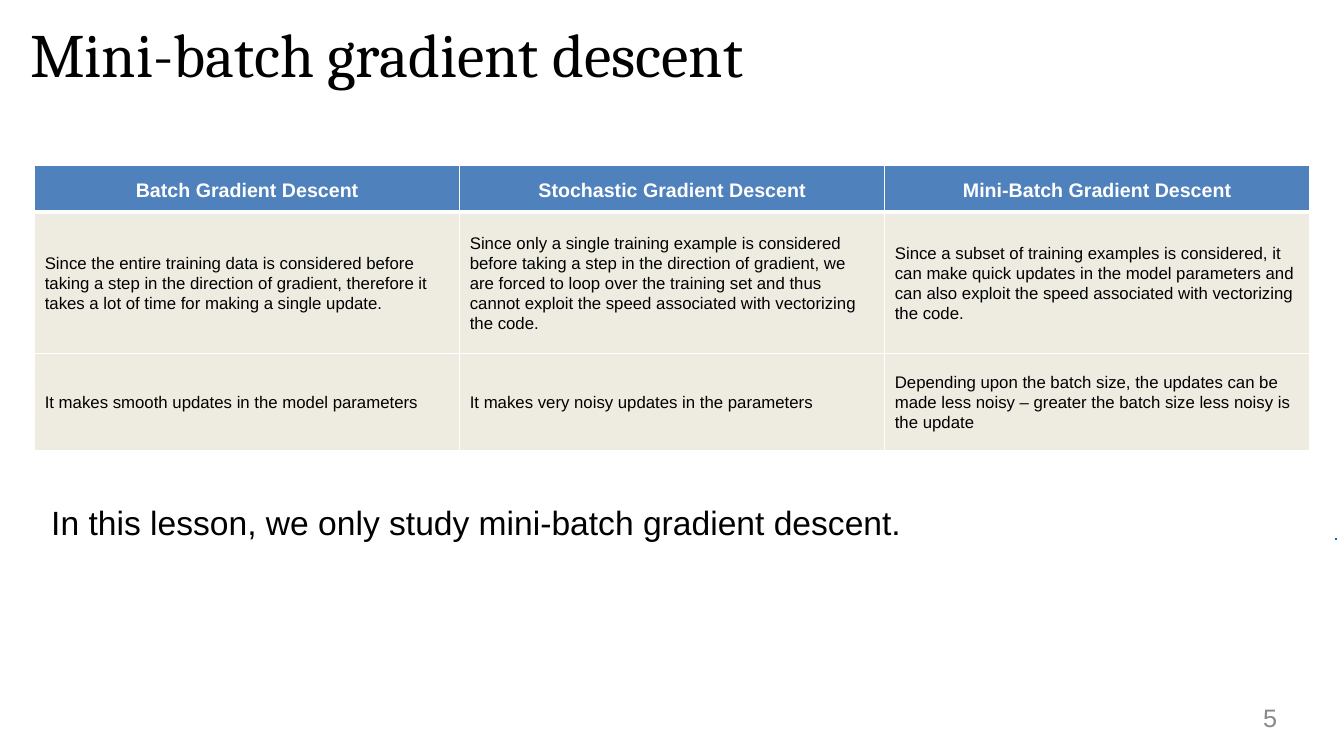
from dataclasses import dataclass

from lxml import etree
from pptx import Presentation
from pptx.dml.color import RGBColor
from pptx.enum.text import MSO_ANCHOR, MSO_AUTO_SIZE, PP_ALIGN
from pptx.oxml.ns import qn
from pptx.util import Pt

LEFT, CENTER, RIGHT = PP_ALIGN.LEFT, PP_ALIGN.CENTER, PP_ALIGN.RIGHT
TOP, MIDDLE, BOTTOM = MSO_ANCHOR.TOP, MSO_ANCHOR.MIDDLE, MSO_ANCHOR.BOTTOM
GROW = MSO_AUTO_SIZE.SHAPE_TO_FIT_TEXT
TITLE_ONLY = 5


@dataclass
class TextStyle:
    size: float
    color: str = "000000"
    font: str = "Arial"
    bold: bool = False
    align: PP_ALIGN = LEFT
    line_spacing: float = 1.0


@dataclass
class Block:
    text: str
    box: tuple[float, float, float, float]
    insets: tuple[float, float, float, float]
    style: TextStyle


@dataclass
class RowStyle:
    height: float
    fill: str
    anchor: MSO_ANCHOR
    inset_y: float
    bottom_border: float
    text: TextStyle


# Content
TITLE = Block("Mini-batch gradient descent", (20.9, 10.8, 773.3, 54.7),
              (0.7, 0.7, 0, 0), TextStyle(44, font="Cambria"))
CLOSING = Block("In this lesson, we only study mini-batch gradient descent.",
                (29.5, 355, 905.8, 36), (7.2, 3.6, 7.2, 3.6), TextStyle(24))
PAGE_NUMBER = Block("5", (691.2, 501.8, 221, 21.6), (0, 0, 0, 0),
                    TextStyle(18, "888888", align=RIGHT))

HEADING = TextStyle(14, "FFFFFF", bold=True, align=CENTER, line_spacing=1.07)
BODY = TextStyle(12, line_spacing=1.07)
ROW_STYLES = [
    RowStyle(33.1, "4F81BD", BOTTOM, 7.2, 3, HEADING),
    RowStyle(101.2, "EEECE1", MIDDLE, 10.8, 1, BODY),
    RowStyle(69, "EEECE1", MIDDLE, 10.8, 1, BODY),
]
COMPARISON = [
    ["Batch Gradient Descent", "Stochastic Gradient Descent",
     "Mini-Batch Gradient Descent"],
    ["Since the entire training data is considered before taking a step in the "
     "direction of gradient, therefore it takes a lot of time for making a "
     "single update.",
     "Since only a single training example is considered before taking a step "
     "in the direction of gradient, we are forced to loop over the training set "
     "and thus cannot exploit the speed associated with vectorizing the code.",
     "Since a subset of training examples is considered, it can make quick "
     "updates in the model parameters and can also exploit the speed associated "
     "with vectorizing the code."],
    ["It makes smooth updates in the model parameters",
     "It makes very noisy updates in the parameters",
     "Depending upon the batch size, the updates can be made less noisy – "
     "greater the batch size less noisy is the update"],
]
TABLE_LEFT, TABLE_TOP, COLUMN_WIDTH = 24.8, 118.4, 303.6


def rgb(value: str) -> RGBColor:
    return RGBColor.from_string(value)


def set_all(target, values: dict) -> None:
    for name, value in values.items():
        setattr(target, name, value)


def write(frame, text: str, style: TextStyle) -> None:
    frame.text = text
    paragraph = frame.paragraphs[0]
    set_all(paragraph, {"alignment": style.align,
                        "line_spacing": style.line_spacing})
    font = paragraph.runs[0].font
    set_all(font, {"name": style.font, "size": Pt(style.size),
                   "bold": style.bold})
    font.color.rgb = rgb(style.color)


def place(shape, block: Block) -> None:
    for names, values in ((("left", "top", "width", "height"), block.box),):
        set_all(shape, dict(zip(names, map(Pt, values))))
    left, top, right, bottom = map(Pt, block.insets)
    frame = shape.text_frame
    set_all(frame, {"word_wrap": True, "auto_size": GROW,
                    "vertical_anchor": TOP, "margin_left": left,
                    "margin_top": top, "margin_right": right,
                    "margin_bottom": bottom})
    write(frame, block.text, block.style)


def add_border(cell, side: str, width: float, color: str = "FFFFFF") -> None:
    properties = cell._tc.get_or_add_tcPr()
    line = etree.SubElement(properties, qn(f"a:ln{side}"), w=str(Pt(width)))
    fill = etree.SubElement(line, qn("a:solidFill"))
    etree.SubElement(fill, qn("a:srgbClr"), val=color)


def format_cell(cell, text: str, row: RowStyle, top_border: float) -> None:
    borders = {"L": 1, "R": 1, "T": top_border, "B": row.bottom_border}
    for side, width in borders.items():
        add_border(cell, side, width)
    cell.fill.solid()
    cell.fill.fore_color.rgb = rgb(row.fill)
    set_all(cell, {"vertical_anchor": row.anchor,
                   "margin_left": Pt(7.2), "margin_right": Pt(7.2),
                   "margin_top": Pt(row.inset_y),
                   "margin_bottom": Pt(row.inset_y)})
    write(cell.text_frame, text, row.text)


def add_comparison(slide) -> None:
    column_count = len(COMPARISON[0])
    table = slide.shapes.add_table(
        len(COMPARISON), column_count, Pt(TABLE_LEFT), Pt(TABLE_TOP),
        Pt(COLUMN_WIDTH * column_count),
        Pt(sum(row.height for row in ROW_STYLES))).table
    table.horz_banding = False
    for column in table.columns:
        column.width = Pt(COLUMN_WIDTH)
    top_border = 1
    for index, (texts, row) in enumerate(zip(COMPARISON, ROW_STYLES)):
        table.rows[index].height = Pt(row.height)
        for column, text in enumerate(texts):
            format_cell(table.cell(index, column), text, row, top_border)
        top_border = row.bottom_border


def add_pen_stroke(slide) -> None:
    right, middle, left = Pt(954.7), Pt(954), Pt(953.3)
    y = Pt(385.2)
    builder = slide.shapes.build_freeform(right, y, scale=1.0)
    builder.add_line_segments([(middle, y), (left, y)], close=False)
    stroke = builder.convert_to_shape()
    stroke.shadow.inherit = False
    stroke.fill.background()
    stroke.line.color.rgb = rgb("0070C0")
    stroke.line.width = Pt(1.5)


def main() -> None:
    deck = Presentation()
    set_all(deck, {"slide_width": Pt(960), "slide_height": Pt(540)})
    slide = deck.slides.add_slide(deck.slide_layouts[TITLE_ONLY])

    # Title
    place(slide.shapes.title, TITLE)

    # Pen stroke at the right edge
    add_pen_stroke(slide)

    # Page number, comparison table and closing remark
    place(slide.shapes.add_textbox(0, 0, 0, 0), PAGE_NUMBER)
    add_comparison(slide)
    place(slide.shapes.add_textbox(0, 0, 0, 0), CLOSING)

    deck.save("out.pptx")


if __name__ == "__main__":
    main()
